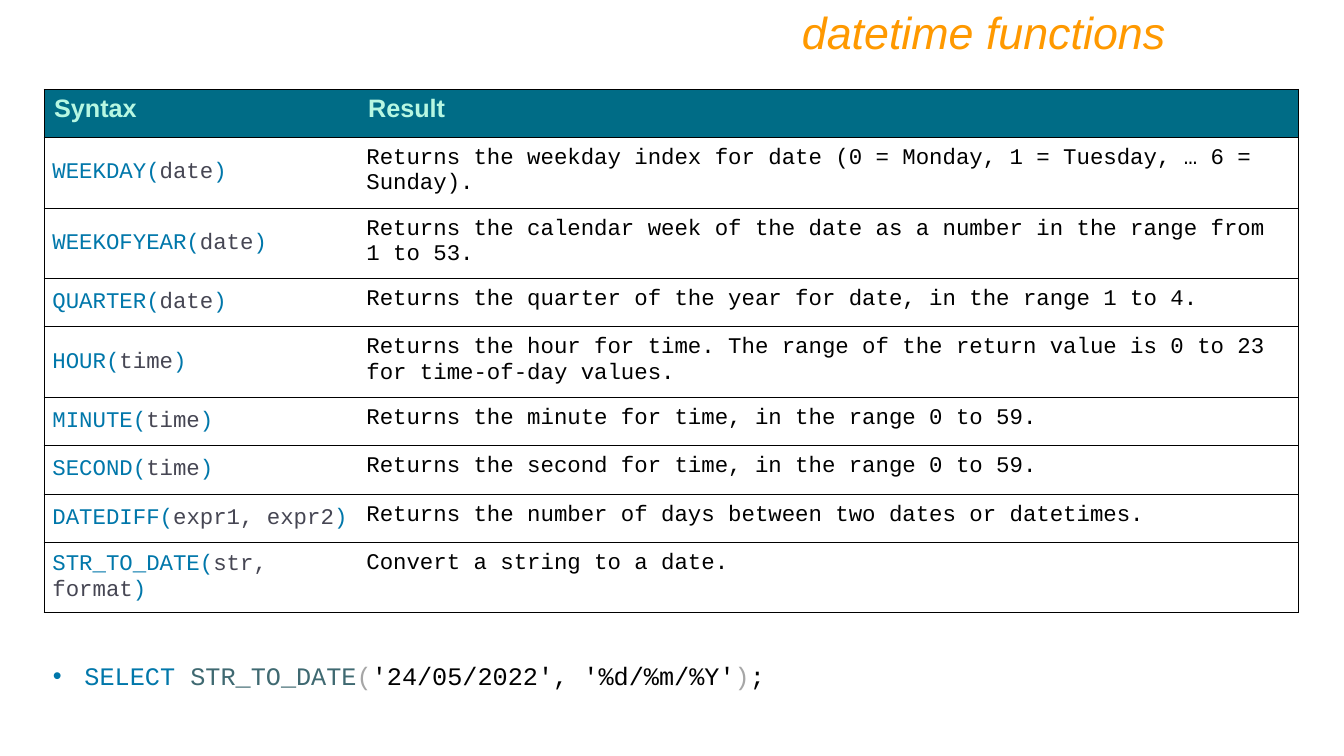
from lxml import etree
from pptx import Presentation
from pptx.dml.color import RGBColor
from pptx.enum.text import MSO_ANCHOR, MSO_AUTO_SIZE, PP_ALIGN
from pptx.oxml.ns import qn
from pptx.util import Pt

PX = 9525
TOP, MIDDLE = MSO_ANCHOR.TOP, MSO_ANCHOR.MIDDLE
GROW = MSO_AUTO_SIZE.SHAPE_TO_FIT_TEXT
LEFT, RIGHT = PP_ALIGN.LEFT, PP_ALIGN.RIGHT
SANS, MONO = "Arial", "Courier New"

BLACK = RGBColor(0x00, 0x00, 0x00)
ORANGE = RGBColor(0xFF, 0x99, 0x00)
TEAL = RGBColor(0x00, 0x6C, 0x86)
MINT = RGBColor(0xB7, 0xF7, 0xE2)
BLUE = RGBColor(0x00, 0x77, 0xAA)
SLATE = RGBColor(0x46, 0x46, 0x53)
GREEN = RGBColor(0x3F, 0x69, 0x71)
GRAY = RGBColor(0xA6, 0xA6, 0xA6)

FUNCTIONS = [
    ("WEEKDAY", "date", "Returns the weekday index for date (0 = Monday, 1 = Tuesday, … 6 = Sunday)."),
    ("WEEKOFYEAR", "date", "Returns the calendar week of the date as a number in the range from 1 to 53."),
    ("QUARTER", "date", "Returns the quarter of the year for date, in the range 1 to 4."),
    ("HOUR", "time", "Returns the hour for time. The range of the return value is 0 to 23 for time-of-day values."),
    ("MINUTE", "time", "Returns the minute for time, in the range 0 to 59."),
    ("SECOND", "time", "Returns the second for time, in the range 0 to 59."),
    ("DATEDIFF", "expr1, expr2", "Returns the number of days between two dates or datetimes."),
    ("STR_TO_DATE", "str, format", "Convert a string to a date."),
]
EXAMPLE = [
    ("SELECT ", BLUE),
    ("STR_TO_DATE", GREEN),
    ("(", GRAY),
    ("'24/05/2022', '%d/%m/%Y'", BLACK),
    (")", GRAY),
    (";", BLACK),
]


def add_text(paragraph, text, *, size, color, font=MONO, bold=False, italic=False):
    """Add one formatted run to a paragraph."""
    run = paragraph.add_run()
    run.text = text
    run.font.name = font
    run.font.size = Pt(size)
    run.font.bold = bold
    run.font.italic = italic
    run.font.color.rgb = color


class SlideBuilder:
    """Hold the style and the current slide, and add elements to it."""

    def __init__(self, presentation):
        """Add a title-only slide to the presentation."""
        self.slide = presentation.slides.add_slide(presentation.slide_layouts[5])
        self.code_size = 16
        self.example_size = 18
        self.cell_margin = 8 * PX

    def title(self, text, left, top, width, height):
        """Move and format the title placeholder."""
        shape = self.slide.shapes.title
        shape.left, shape.top = left * PX, top * PX
        shape.width, shape.height = width * PX, height * PX
        frame = shape.text_frame
        frame.word_wrap = True
        frame.auto_size = GROW
        frame.vertical_anchor = TOP
        paragraph = frame.paragraphs[0]
        paragraph.alignment = RIGHT
        add_text(paragraph, text, size=32, color=ORANGE, font=SANS, italic=True)

    def bullet(self, runs, left, top, width, height, indent):
        """Add a text box with one bulleted line of coloured runs."""
        box = self.slide.shapes.add_textbox(left * PX, top * PX, width * PX, height * PX)
        frame = box.text_frame
        frame.word_wrap = True
        frame.auto_size = GROW
        paragraph = frame.paragraphs[0]
        properties = paragraph._p.get_or_add_pPr()
        properties.set("marL", str(indent * PX))
        properties.set("indent", str(-indent * PX))
        etree.SubElement(properties, qn("a:buFont"), typeface=SANS)
        etree.SubElement(properties, qn("a:buChar"), char="•")
        paragraph.alignment = LEFT
        for text, color in runs:
            add_text(paragraph, text, size=self.example_size, color=color)

    def borders(self, cell, open_side):
        """Draw black borders on all sides of a cell but one."""
        properties = cell._tc.get_or_add_tcPr()
        for side in ("lnL", "lnR", "lnT", "lnB"):
            line = etree.SubElement(properties, qn(f"a:{side}"), w=str(Pt(0.75)))
            if side == open_side:
                etree.SubElement(line, qn("a:noFill"))
            else:
                fill = etree.SubElement(line, qn("a:solidFill"))
                etree.SubElement(fill, qn("a:srgbClr"), val=str(BLACK))

    def body_cell(self, cell, runs, anchor):
        """Fill a body cell with coloured code runs."""
        cell.fill.background()
        cell.vertical_anchor = anchor
        cell.margin_left = cell.margin_right = self.cell_margin
        cell.margin_top = cell.margin_bottom = self.cell_margin
        for text, color in runs:
            add_text(cell.text_frame.paragraphs[0], text, size=self.code_size, color=color)

    def table(self, headings, functions, left, top, widths, row_height):
        """Add the table of functions and their results."""
        count = len(functions) + 1
        table = self.slide.shapes.add_table(
            count, len(widths), left * PX, top * PX,
            sum(widths) * PX, count * row_height * PX).table
        for column, width in zip(table.columns, widths):
            column.width = width * PX
        for row in table.rows:
            row.height = row_height * PX
            for cell, open_side in zip(row.cells, ("lnR", "lnL")):
                self.borders(cell, open_side)
        for cell, heading in zip(table.rows[0].cells, headings):
            cell.fill.solid()
            cell.fill.fore_color.rgb = TEAL
            add_text(cell.text_frame.paragraphs[0], heading,
                     size=18, color=MINT, font=SANS, bold=True)
        for index, (name, arguments, result) in enumerate(functions, 1):
            syntax = [(f"{name}(", BLUE), (arguments, SLATE), (")", BLUE)]
            self.body_cell(table.cell(index, 0), syntax, MIDDLE)
            self.body_cell(table.cell(index, 1), [(result, BLACK)], TOP)


def main():
    """Build and save the slide."""
    presentation = Presentation()
    presentation.slide_width, presentation.slide_height = 1280 * PX, 720 * PX
    builder = SlideBuilder(presentation)
    builder.table(("Syntax", "Result"), FUNCTIONS, 42, 85, (299, 896), 46)
    builder.bullet(EXAMPLE, 41, 624, 1196, 38, 30)
    builder.title("datetime functions", 160, 0, 960, 61)
    presentation.save("out.pptx")


if __name__ == "__main__":
    main()
